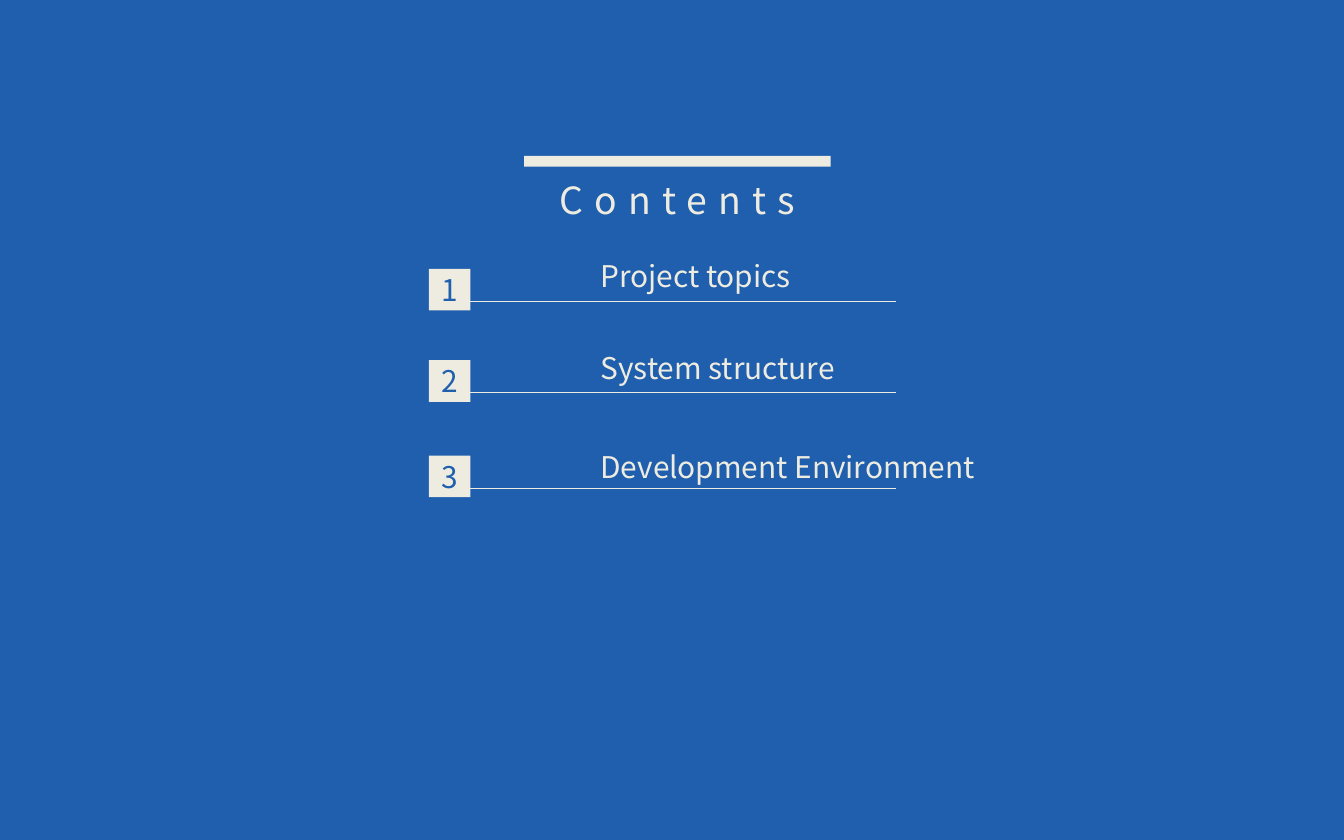
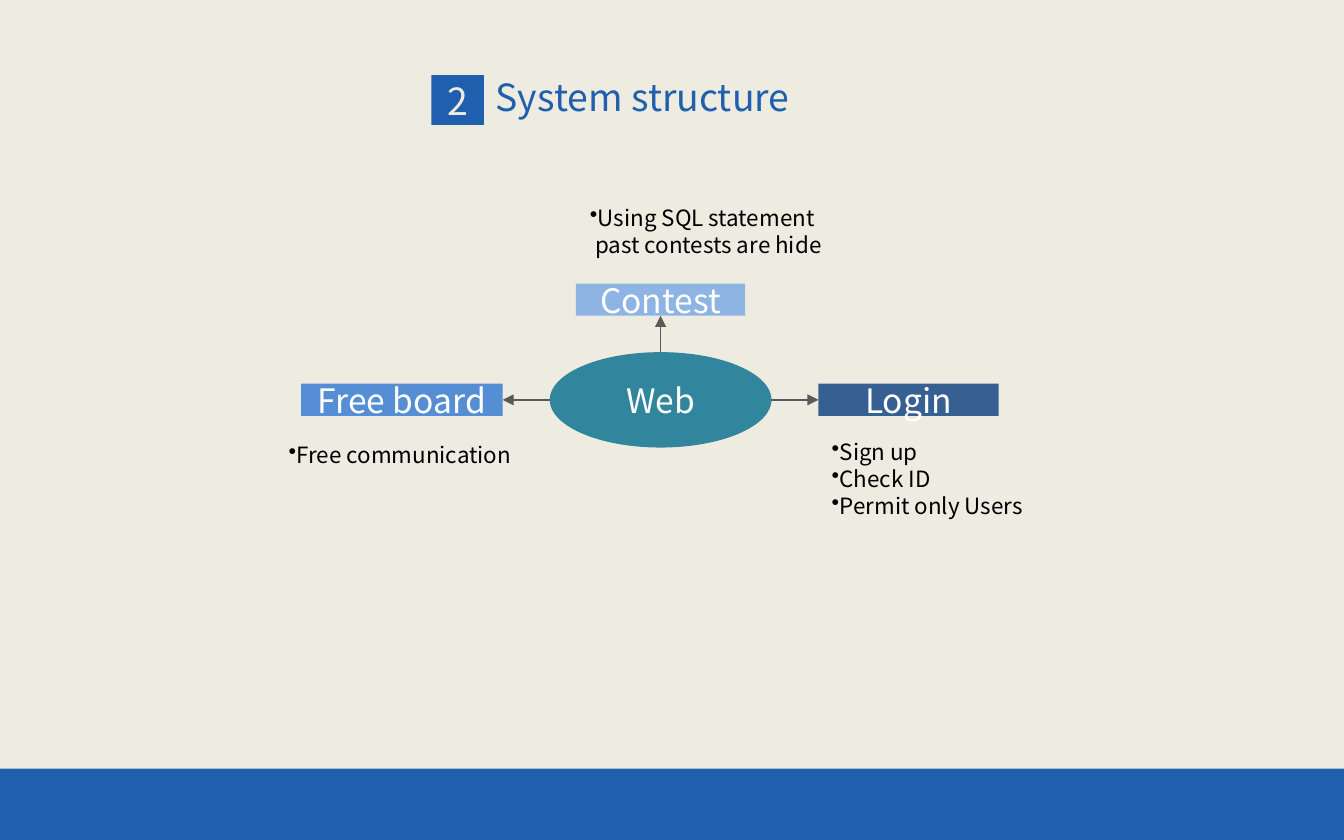
"""Builds a contents slide and a system structure slide."""
from lxml.etree import SubElement as Sub
from pptx import Presentation
from pptx.dml.color import RGBColor as Rgb
from pptx.enum.shapes import MSO_CONNECTOR as Link, MSO_SHAPE as Form
from pptx.enum.text import MSO_ANCHOR as Anchor, PP_ALIGN as Align
from pptx.oxml.ns import qn
from pptx.util import Inches, Pt

FONT = "Noto Sans CJK KR"
WIDE, HIGH = 10, 6.25
HUES = {
    "blue": "1F5FAD", "cream": "EEECE1", "white": "FFFFFF", "black": "000000",
    "teal": "31859C", "sky": "8EB4E3", "mid": "558ED5", "navy": "376092",
    "gray": "595959",
}


def hue(name):
    return Rgb.from_string(HUES[name])


def write(frame, text, size=12, color="black", center=False, space=0,
          bullet=False, hang=0):
    frame.word_wrap = True
    for i, line in enumerate(text.split("\n")):
        par = frame.paragraphs[0] if i == 0 else frame.add_paragraph()
        par.alignment = Align.CENTER if center else Align.LEFT
        props = par._p.get_or_add_pPr()
        if bullet and not (hang and i):
            props.set("marL", "0")
            props.set("indent", "0")
            Sub(props, qn("a:buChar")).set("char", "•")
        elif hang:
            props.set("marL", str(Inches(hang)))
            props.set("indent", "0")
        run = par.add_run()
        run.text = line
        run.font.size = Pt(size)
        run.font.name = FONT
        run.font.color.rgb = hue(color)
        if space:
            run._r.get_or_add_rPr().set("spc", str(space * 100))


def label(slide, box, text, **style):
    area = slide.shapes.add_textbox(*map(Inches, box))
    write(area.text_frame, text, **style)


def block(slide, box, fill, text="", form=Form.RECTANGLE, **style):
    shape = slide.shapes.add_shape(form, *map(Inches, box))
    shape.shadow.inherit = False
    shape.fill.solid()
    shape.fill.fore_color.rgb = hue(fill)
    shape.line.fill.background()
    if text:
        frame = shape.text_frame
        frame.margin_left = frame.margin_right = 0
        frame.vertical_anchor = Anchor.MIDDLE
        write(frame, text, center=True, **style)
    return shape


def line(slide, start, end, color, width):
    link = slide.shapes.add_connector(
        Link.STRAIGHT, *map(Inches, (*start, *end)))
    link.line.color.rgb = hue(color)
    link.line.width = Pt(width)
    Sub(link._element.spPr, qn("a:effectLst"))
    return link


def arrow(slide, start, end, goal, side):
    link = line(slide, start, end, "gray", 0.75)
    Sub(link.line._get_or_add_ln(), qn("a:tailEnd")).set("type", "triangle")
    link.end_connect(goal, side)


def start_slide(deck, color):
    slide = deck.slides.add_slide(deck.slide_layouts[6])
    slide.background.fill.solid()
    slide.background.fill.fore_color.rgb = hue(color)
    return slide


def banner(slide, x, y, width):
    block(slide, (x, y, width, 0.08), "cream")
    label(slide, (x, y + 0.11, width, 0.44), "Contents", size=20,
          color="cream", center=True, space=6)


def entry(slide, x, y, num, text, lift):
    block(slide, (x, y, 0.31, 0.31), "cream", str(num), size=16, color="blue")
    line(slide, (x + 0.25, y + 0.24), (x + 3.48, y + 0.24), "cream", 0.25)
    label(slide, (x + 1.18, y - lift, 3.17, 0.37), text, size=16, color="cream")


def heading(slide, x, y, num, text):
    block(slide, (x, y, 0.39, 0.37), "blue", str(num), size=20, color="cream")
    label(slide, (x + 0.38, y - 0.06, 3.17, 0.44), text, size=20, color="blue")


def footer(slide, height=0.53):
    block(slide, (0, HIGH - height, WIDE, height), "blue")


def web_map(slide, x, y, width, height):
    mid_x, mid_y = x + width / 2, y + height / 2
    block(slide, (x, y, width, height), "teal", "Web", Form.OVAL,
          size=18, color="white")
    gap, deep = 0.35, 0.24
    row = mid_y - deep / 2
    right = x + width + gap
    nodes = (
        ("Free board", (x - gap - 1.5, row, 1.5, deep), "mid",
         (x, mid_y), (x - gap, mid_y), 3),
        ("Contest", (mid_x - 0.63, y - 0.51, 1.26, deep), "sky",
         (mid_x, y), (mid_x, y - 0.27), 2),
        ("Login", (right, row, 1.34, deep), "navy",
         (x + width, mid_y), (right, mid_y), 1),
    )
    for text, box, fill, start, end, side in nodes:
        node = block(slide, box, fill, text, size=18, color="white")
        arrow(slide, start, end, node, side)
    label(slide, (x - 2.04, y + 0.61, 1.89, 0.3), "Free communication",
          bullet=True)
    label(slide, (x + 0.2, y - 1.15, 2.05, 0.5),
          "Using SQL statement\npast contests are hide", bullet=True, hang=0.04)
    label(slide, (right, y + 0.59, 1.89, 0.91),
          "Sign up\nCheck ID\nPermit only Users", bullet=True)


def contents(deck):
    slide = start_slide(deck, "blue")
    banner(slide, 3.9, 1.16, 2.28)
    rows = ((2, "Project topics", 0.13), (2.68, "System structure", 0.13),
            (3.39, "Development Environment", 0.1))
    for num, (y, text, lift) in enumerate(rows, 1):
        entry(slide, 3.19, y, num, text, lift)


def structure(deck):
    slide = start_slide(deck, "cream")
    heading(slide, 3.21, 0.56, 2, "System structure")
    footer(slide)
    web_map(slide, 4.09, 2.62, 1.65, 0.71)


def main():
    deck = Presentation()
    deck.slide_width, deck.slide_height = Inches(WIDE), Inches(HIGH)
    contents(deck)
    structure(deck)
    deck.save("out.pptx")


if __name__ == "__main__":
    main()
